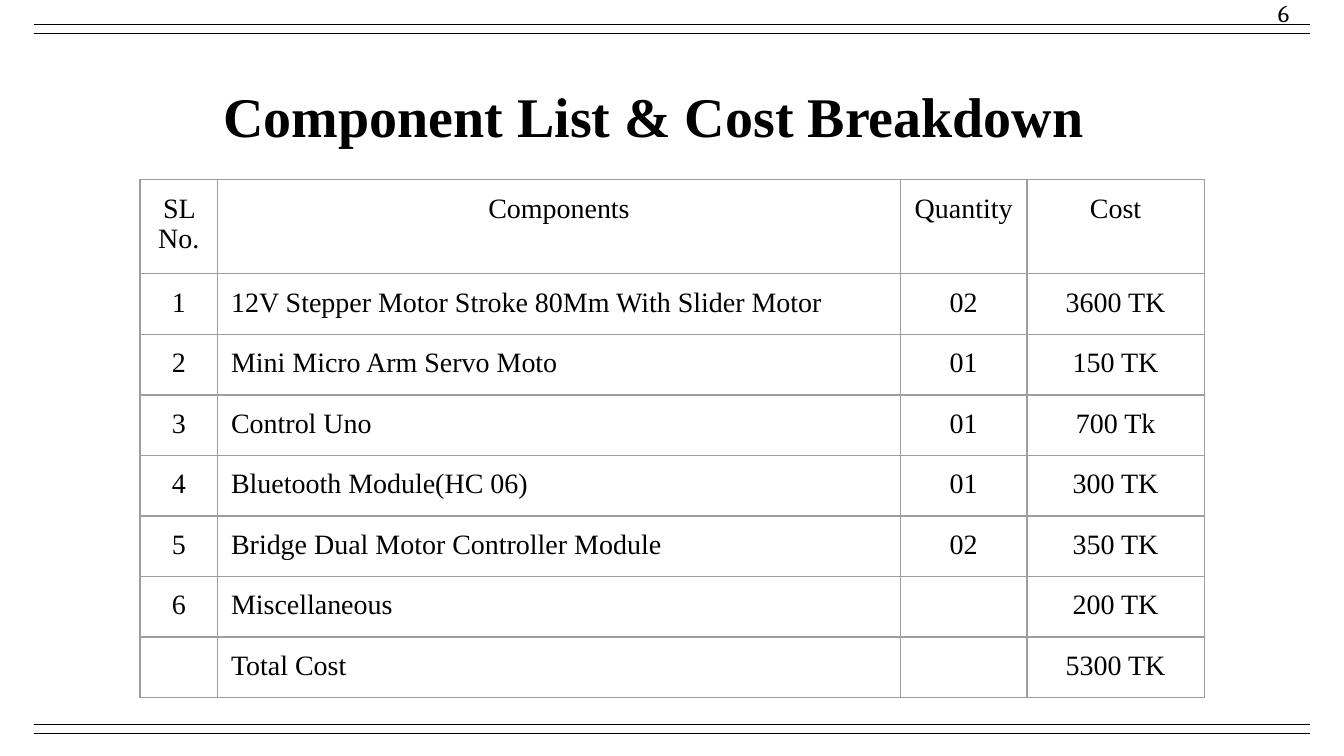
from lxml.etree import SubElement as Sub
from pptx import Presentation
from pptx.dml.color import RGBColor
from pptx.enum.shapes import MSO_CONNECTOR as Link
from pptx.enum.text import MSO_ANCHOR as Anchor, PP_ALIGN as Align
from pptx.oxml.ns import qn
from pptx.util import Pt

BLACK, GREY = "000000", "9E9E9E"
SERIF = "Times New Roman"
PAD = Pt(7.2)


def color(code):
    return RGBColor.from_string(code)


def write(frame, text, size, face, bold=False, align=Align.CENTER):
    """Fill a text frame with one styled paragraph."""
    frame.word_wrap = True
    para = frame.paragraphs[0]
    para.text = text
    para.alignment = align
    for run in para.runs:
        font = run.font
        font.size, font.name, font.bold = Pt(size), face, bold
        font.color.rgb = color(BLACK)


deck = Presentation()
deck.slide_width, deck.slide_height = Pt(720), Pt(405)
slide = deck.slides.add_slide(deck.slide_layouts[6])
shapes = slide.shapes

# Double rules at top and bottom
for y in (13, 18, 388, 393):
    rule = shapes.add_connector(Link.STRAIGHT, Pt(18), Pt(y), Pt(702), Pt(y))
    rule.line.color.rgb = color(BLACK)
    rule.line.width = Pt(0.75)
    Sub(rule._element.spPr, qn("a:effectLst"))

# Title and page number
labels = [
    ("Component List & Cost Breakdown", (46.8, 33.1, 607, 45.4),
     30, SERIF, True, Anchor.TOP, 10.4),
    ("6", (666, -8.6, 43.2, 31), 13, "Cambria", False, Anchor.MIDDLE, 7.2),
]
for text, area, size, face, bold, anchor, top in labels:
    frame = shapes.add_textbox(*map(Pt, area)).text_frame
    frame.margin_left = frame.margin_right = frame.margin_bottom = PAD
    frame.margin_top = Pt(top)
    frame.vertical_anchor = anchor
    write(frame, text, size, face, bold)

# Cost table
rows = [
    ("SL No.", "Components", "Quantity", "Cost"),
    ("1", "12V Stepper Motor Stroke 80Mm With Slider Motor", "02", "3600 TK"),
    ("2", "Mini Micro Arm Servo Moto", "01", "150 TK"),
    ("3", "Control Uno", "01", "700 Tk"),
    ("4", "Bluetooth Module(HC 06)", "01", "300 TK"),
    ("5", "Bridge Dual Motor Controller Module", "02", "350 TK"),
    ("6", "Miscellaneous", "", "200 TK"),
    ("", "Total Cost", "", "5300 TK"),
]
widths = [41.6, 365.8, 67.8, 95]
heights = [47.4] + [30.94] * (len(rows) - 1)
grid = shapes.add_table(len(rows), len(widths), Pt(75), Pt(96.3),
                        Pt(sum(widths)), Pt(sum(heights))).table
grid.first_row = grid.horz_banding = False
for col, width in zip(grid.columns, widths):
    col.width = Pt(width)
for row, height in zip(grid.rows, heights):
    row.height = Pt(height)

for r, row in enumerate(rows):
    for c, text in enumerate(row):
        cell = grid.cell(r, c)
        cell.margin_left = cell.margin_right = PAD
        cell.margin_top = cell.margin_bottom = PAD
        align = Align.LEFT if r and c == 1 else Align.CENTER
        write(cell.text_frame, text, 15, SERIF, align=align)
        if not text:
            # Keeps an empty cell from stretching its row
            end = Sub(cell.text_frame.paragraphs[0]._p, qn("a:endParaRPr"))
            end.set("sz", "1500")
        props = cell._tc.get_or_add_tcPr()
        for side in ("lnL", "lnR", "lnT", "lnB"):
            edge = Sub(props, qn("a:" + side), w=str(Pt(0.75)))
            Sub(Sub(edge, qn("a:solidFill")), qn("a:srgbClr"), val=GREY)
        cell.fill.background()

deck.save("out.pptx")
